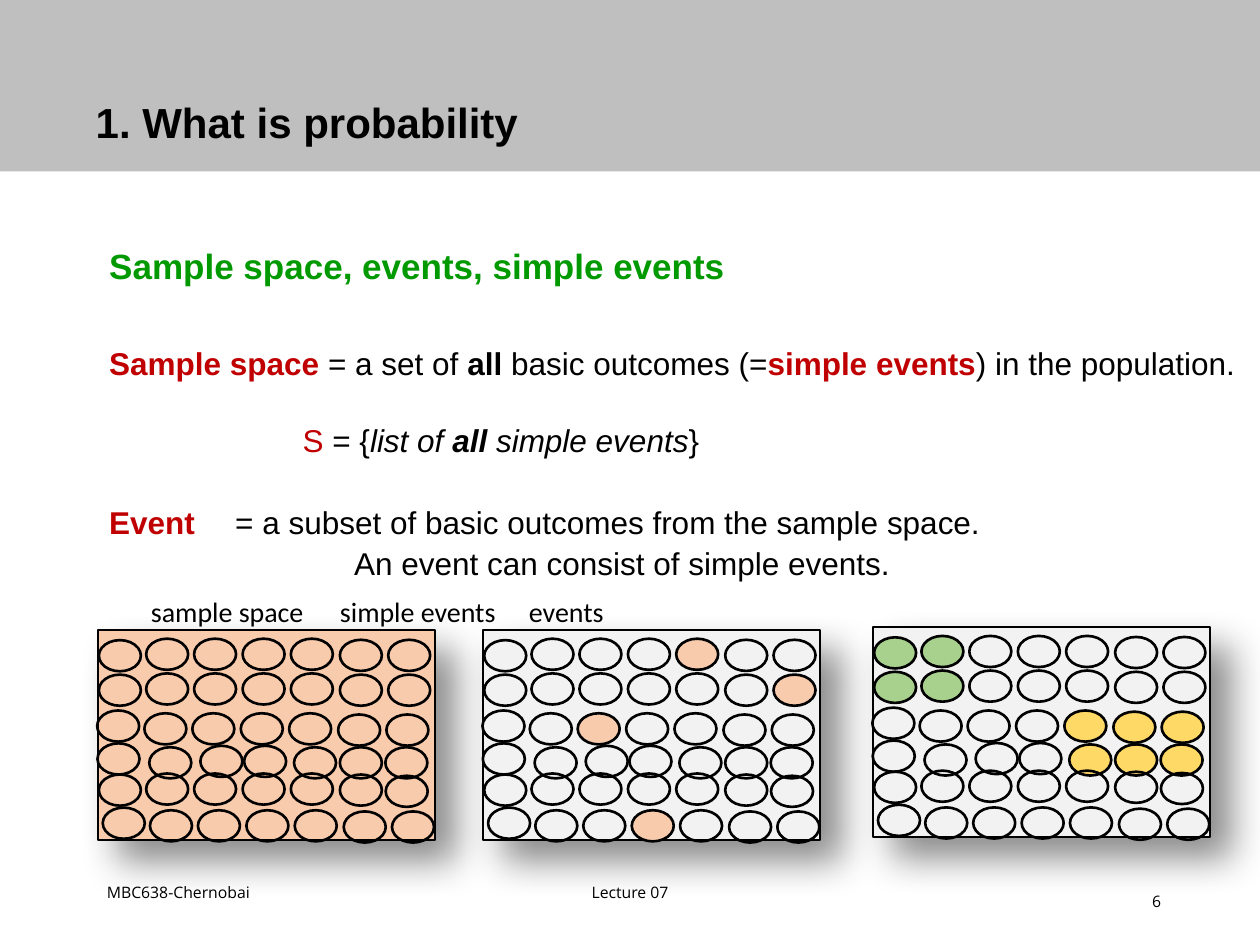
from lxml.etree import SubElement as Sub
from pptx import Presentation
from pptx.dml.color import RGBColor as RGB
from pptx.enum.shapes import MSO_SHAPE as Kind
from pptx.enum.text import MSO_ANCHOR as Anchor, PP_ALIGN as Align
from pptx.oxml.ns import qn
from pptx.util import Pt

BLACK = RGB(0, 0, 0)
GRAY = RGB(0xBF, 0xBF, 0xBF)
PALE = RGB(0xF2, 0xF2, 0xF2)
PEACH = RGB(0xF8, 0xCB, 0xAD)
LEAF = RGB(0xA9, 0xD1, 0x8E)
GOLD = RGB(0xFF, 0xD9, 0x66)
GREEN = RGB(0x00, 0x99, 0x00)
RED = RGB(0xC0, 0, 0)

# Offsets of the hand-placed circles from the panel corner
EVEN = [0.5, 27.5, 54.9, 82.6, 110.2, 138.2, 165.8]
LOOSE = [-0.3, 29.3, 58.5, 83.5, 112, 138.2, 164.2]
NEAR = EVEN[:6] + [164.4]
ROWS = [
    (EVEN, 0, [5.8, 5, 5, 5, 5, 5.6, 5.6]),
    (EVEN, 0, [25.5, 24.8, 24.8, 24.8, 24.8, 25.5, 25.5]),
    (EVEN, -1, [46, 47.6, 47.6, 47.6, 47.6, 48.3, 48.3]),
    (LOOSE, 0, [64.8, 67, 66.2, 66.2, 67, 67, 67]),
    (NEAR, 0, [82.6, 82, 82, 82, 82, 82.6, 83.3]),
    (EVEN, 2.2, [101.5, 103, 103, 103, 103, 103.7, 103.7]),
]

# Panel left, top, fill, and the coloured circles as (row, column)
SIMPLE = dict.fromkeys([(0, 4), (1, 6), (2, 2), (5, 3)], PEACH)
EVENTS = {(r, c): LEAF for r in (0, 1) for c in (0, 1)}
EVENTS |= {(r, c): GOLD for r in (2, 3) for c in (4, 5, 6)}
PANELS = [(56, 360, PEACH, {}), (276.2, 360, PALE, SIMPLE),
          (499, 358.4, PALE, EVENTS)]


def write(para, *runs, size=18, font="Arial", bold=False, color=BLACK,
          align=None, line=None, before=0, left=0, tabs=()):
    """Add runs to a paragraph; a run is text or (text, changes)."""
    para.alignment, para.line_spacing = align, line
    para.space_before = Pt(before)
    props = para._p.get_or_add_pPr()
    props.set("marL", str(Pt(left)))
    props.set("indent", "0")
    if tabs:
        stops = Sub(props, qn("a:tabLst"))
        for pos in tabs:
            Sub(stops, qn("a:tab"), pos=str(Pt(pos)), algn="l")
    for item in runs:
        words, more = (item, {}) if isinstance(item, str) else item
        run = para.add_run()
        run.text = words
        face = run.font
        face.name, face.size = font, Pt(size)
        face.bold = more.get("bold", bold)
        face.italic = more.get("italic", False)
        face.color.rgb = more.get("color", color)


def frame(slide, x, y, w, h, pad=7.2, anchor=Anchor.TOP):
    """Add a wrapped text box and return its text frame."""
    box = slide.shapes.add_textbox(Pt(x), Pt(y), Pt(w), Pt(h)).text_frame
    box.word_wrap = True
    box.vertical_anchor = anchor
    box.margin_left = box.margin_right = Pt(pad)
    box.margin_top = box.margin_bottom = Pt(pad / 2)
    return box


def shape(slide, kind, x, y, w, h, fill=None, line=None):
    item = slide.shapes.add_shape(kind, Pt(x), Pt(y), Pt(w), Pt(h))
    item.shadow.inherit = False
    if fill is None:
        item.fill.background()
    else:
        item.fill.solid()
        item.fill.fore_color.rgb = fill
    if line is None:
        item.line.fill.background()
    else:
        item.line.color.rgb = BLACK
        item.line.width = Pt(line)
    return item


def shade(item):
    """Give a shape a soft shadow to the lower right."""
    effects = item._element.spPr.find(qn("a:effectLst"))
    outer = Sub(effects, qn("a:outerShdw"), blurRad=str(Pt(22)),
                dist=str(Pt(16)), dir="2700000", algn="tl", rotWithShape="0")
    tint = Sub(outer, qn("a:srgbClr"), val="000000")
    Sub(tint, qn("a:alpha"), val="45000")


def panel(slide, x, y, fill, marks):
    shade(shape(slide, Kind.RECTANGLE, x, y, 192.5, 120, fill, 1))
    for r, (cols, shift, tops) in enumerate(ROWS):
        for c, (dx, dy) in enumerate(zip(cols, tops)):
            shape(slide, Kind.OVAL, x + dx + shift, y + dy, 24, 17.8,
                  marks.get((r, c)), 1.5)


def head(slide):
    band = shape(slide, Kind.RECTANGLE, 0, 0, 720, 98, GRAY)
    slide.shapes._spTree.insert(2, band._element)
    title = slide.shapes.title
    title.left, title.top = Pt(47.5), Pt(19.4)
    title.width, title.height = Pt(620.6), Pt(104.4)
    title.text_frame.vertical_anchor = Anchor.MIDDLE
    write(title.text_frame.paragraphs[0], "1. What is probability",
          size=24, bold=True, align=Align.LEFT, line=0.9)


def body(slide):
    box = frame(slide, 62.4, 142.5, 655, 190, pad=0)
    key = dict(color=RED, bold=True)
    slant = dict(italic=True)
    write(box.paragraphs[0], "Sample space, events, simple events",
          size=20, bold=True, color=GREEN, line=0.9)
    write(box.add_paragraph(), ("Sample space", key), " = a set of ",
          ("all", dict(bold=True)), " basic outcomes (=",
          ("simple events", key), ") in the population.",
          line=0.9, before=35)
    write(box.add_paragraph(), ("S", dict(color=RED)), " = {",
          ("list of ", slant), ("all", dict(italic=True, bold=True)),
          (" simple events", slant), "}", line=0.9, before=24.2, left=110.5)
    write(box.add_paragraph(), ("Event", key),
          "\t= a subset of basic outcomes from the sample space.",
          line=0.9, before=27.6, tabs=[124])
    write(box.add_paragraph(), "An event can consist of simple events.",
          line=0.9, before=4.2, left=140)


def foot(slide):
    for words, x, y, w, h, align in [
            ("MBC638-Chernobai", 54, 492, 150, 36, Align.LEFT),
            ("Lecture 07", 246, 492, 228, 36, Align.CENTER),
            ("6", 508.5, 500.5, 162, 28.8, Align.RIGHT)]:
        box = frame(slide, x, y, w, h, anchor=Anchor.MIDDLE)
        write(box.paragraphs[0], words, size=9, font="Open Sans", align=align)


def main():
    deck = Presentation()
    deck.slide_width, deck.slide_height = Pt(720), Pt(540)
    slide = deck.slides.add_slide(deck.slide_layouts[5])
    head(slide)
    body(slide)
    foot(slide)
    for spot in PANELS:
        panel(slide, *spot)
    names = frame(slide, 79.2, 336.3, 612, 26.6)
    write(names.paragraphs[0], "sample space\tsimple events\tevents",
          size=16, font="Calibri", tabs=[216, 439.2])
    deck.save("out.pptx")


if __name__ == "__main__":
    main()
